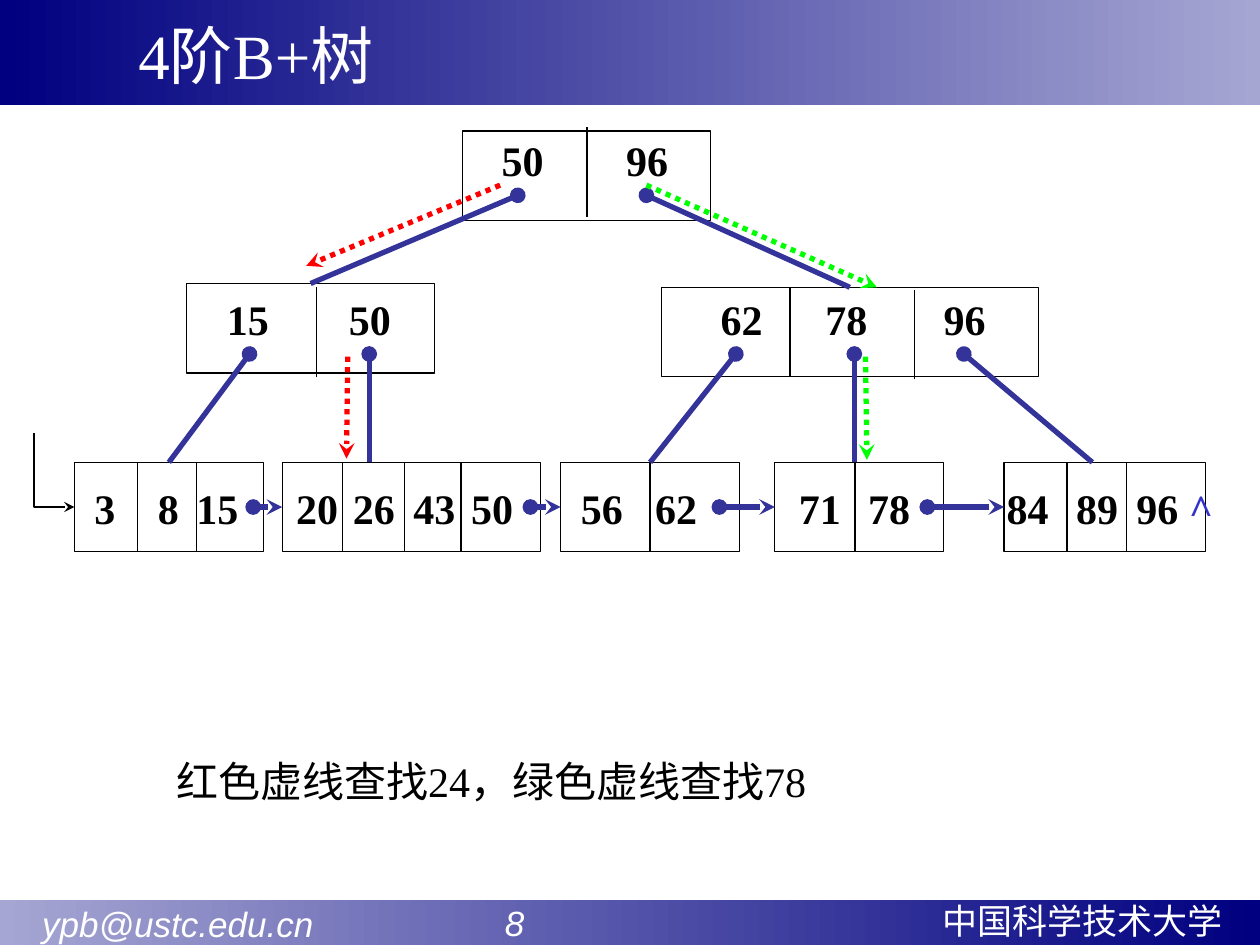
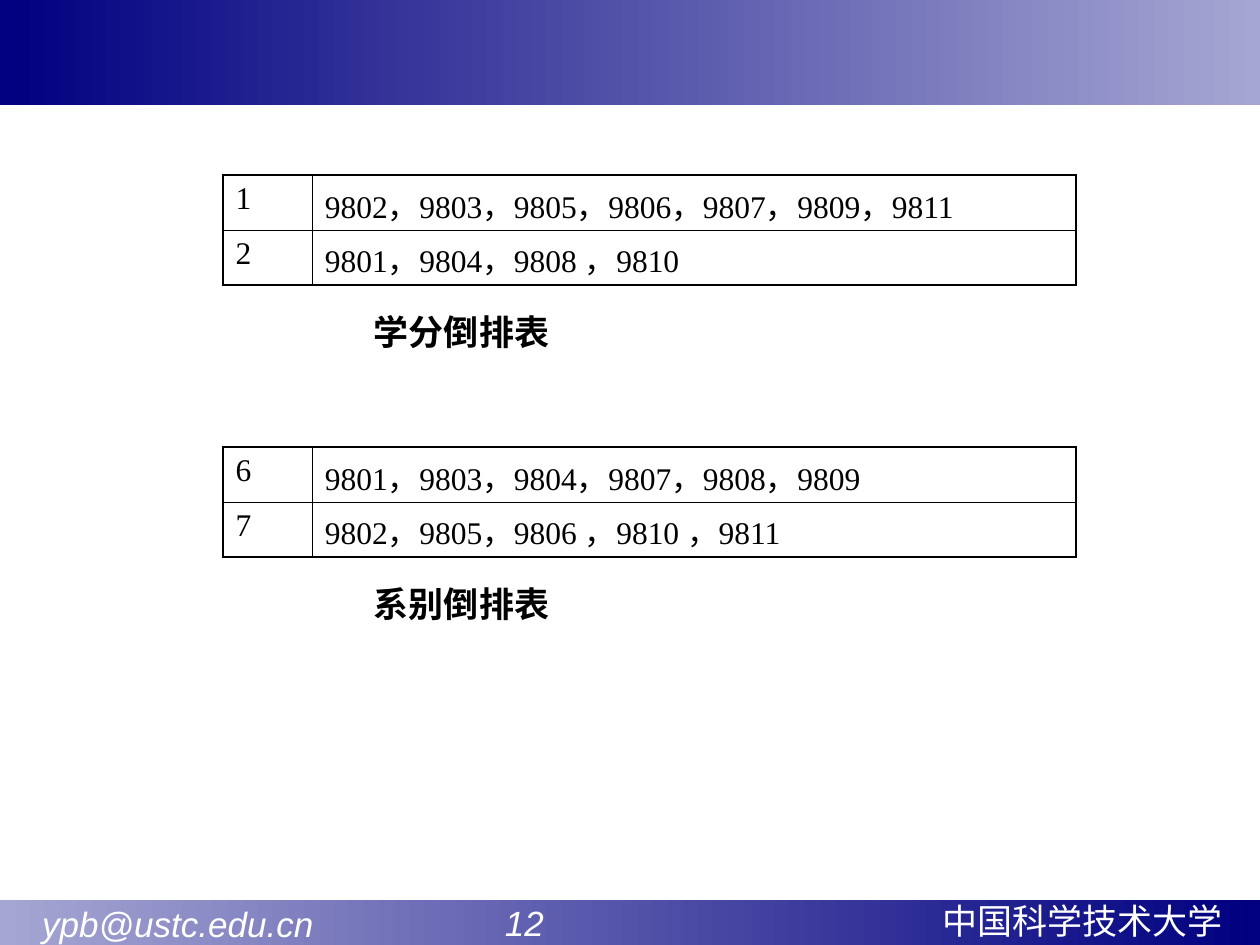
from dataclasses import dataclass
from typing import Any, NamedTuple, Optional

import pptx
import pptx.dml.color
import pptx.enum.dml
import pptx.enum.shapes
import pptx.enum.text
import pptx.oxml.ns
import pptx.util
from lxml import etree

Pt = pptx.util.Pt
RGB = pptx.dml.color.RGBColor.from_string
TOP, LEFT = 0, 1  # connection sites of a rectangle


@dataclass(frozen=True)
class Theme:
    navy: str = "000080"
    lavender: str = "A6A6D3"
    white: str = "FFFFFF"
    ink: str = "000000"
    pointer: str = "333399"
    null_mark: str = "3333CC"
    red: str = "FF0000"
    green: str = "00FF00"
    serif: str = "Times New Roman"
    sans: str = "Arial"
    title_size: float = 36
    key_size: float = 24
    caption_size: float = 20
    cell_size: float = 18
    thin: float = 0.75
    thick: float = 3
    frame_border: float = 1.08
    inner_border: float = 0.45


THEME = Theme()


class Point(NamedTuple):
    x: float
    y: float


class Box(NamedTuple):
    left: float
    top: float
    width: float
    height: float


class Divider(NamedTuple):
    x: float
    drop: float = 0


class Key(NamedTuple):
    label: str
    x: float
    suffix: str = ""


@dataclass(frozen=True)
class Node:
    box: Box
    key_drop: float
    dividers: tuple[Divider, ...]
    keys: tuple[Key, ...]


@dataclass(frozen=True)
class Pointer:
    start: Point
    end: Point
    child: str = ""  # node whose top middle receives the pointer


class SearchStep(NamedTuple):
    start: Point
    end: Point
    color: str


class InvertedList(NamedTuple):
    top: float
    caption: str
    rows: tuple[tuple[str, str], ...]


# ---------- Content of the tree ----------
NODE_HEIGHT = 51.1
LEAF_TOP = 264.2
LINK_Y = LEAF_TOP + NODE_HEIGHT / 2


def leaf(left: float, width: float, dividers: tuple[float, ...], *keys: Key) -> Node:
    return Node(Box(left, LEAF_TOP, width, NODE_HEIGHT), 11.6,
                tuple(Divider(x) for x in dividers), keys)


NODES = {
    "root": Node(Box(264.2, 74.9, 141.8, NODE_HEIGHT), 2.1, (Divider(335.5, -2.2),),
                 (Key("50", 286.6), Key("96", 357.8))),
    "low": Node(Box(106.6, 162, 141.8, NODE_HEIGHT), 5.8, (Divider(180.7, 2.2),),
                (Key("15", 129.6), Key("50", 199.4))),
    "high": Node(Box(378, 164.2, 215.3, NODE_HEIGHT), 3.6,
                 (Divider(451.4), Divider(522.7, 1.4)),
                 (Key("62", 411.8), Key("78", 471.6), Key("96", 539.3))),
    "to 15": leaf(42.5, 108, (78.5, 112.3), Key("3", 54), Key("8", 90.2), Key("15", 112.3)),
    "to 50": leaf(161.3, 147.6, (195.8, 231.1, 263.5), Key("20", 169.2), Key("26", 201.6),
                  Key("43", 236.2), Key("50", 269.3)),
    "to 62": leaf(320.4, 102.2, (371.5,), Key("56", 331.9), Key("62", 374.4)),
    "to 78": leaf(442.8, 96.5, (488.5,), Key("71", 456.5), Key("78", 496.1)),
    "to 96": leaf(573.8, 115.2, (609.8, 643.7), Key("84", 575.3), Key("89", 614.9),
                  Key("96", 649.4, " ^")),
}

POINTERS = (
    Pointer(Point(295.9, 111.6), Point(180, 162), "low"),
    Pointer(Point(369.4, 111.6), Point(491, 164.2), "high"),
    Pointer(Point(142.6, 202.3), Point(96.5, LEAF_TOP), "to 15"),
    Pointer(Point(211, 202.3), Point(211, LEAF_TOP)),
    Pointer(Point(420.5, 202.3), Point(371.5, LEAF_TOP), "to 62"),
    Pointer(Point(488.2, 202.3), Point(488.2, LEAF_TOP)),
    Pointer(Point(550.8, 202.3), Point(624.2, LEAF_TOP)),
)

# Start of each leaf link, by the leaf it leads to
LEAF_LINKS = {"to 50": 144.7, "to 62": 303.1, "to 78": 411.1, "to 96": 529.9}

SEARCH_STEPS = (
    SearchStep(Point(285.8, 105.8), Point(175, 151.9), THEME.red),
    SearchStep(Point(198.7, 203.8), Point(198, 262.1), THEME.red),
    SearchStep(Point(369.4, 105.8), Point(501.1, 164.2), THEME.green),
    SearchStep(Point(494.6, 203.8), Point(495.4, 262.8), THEME.green),
)

INVERTED_LISTS = (
    InvertedList(100.1, "学分倒排表", (
        ("1", "9802，9803，9805，9806，9807，9809，9811"),
        ("2", "9801，9804，9808 ，9810"))),
    InvertedList(255.6, "系别倒排表", (
        ("6", "9801，9803，9804，9807，9808，9809"),
        ("7", "9802，9805，9806 ，9810 ，9811"))),
)


# ---------- Drawing helpers ----------
def write_text(frame: Any, text: str, *, size: float, font: str = THEME.serif,
               color: str = THEME.ink, bold: bool = False, italic: bool = False,
               align: Any = pptx.enum.text.PP_ALIGN.LEFT) -> None:
    """Append a formatted run to the first paragraph of a text frame."""
    paragraph = frame.paragraphs[0]
    paragraph.alignment = align
    run = paragraph.add_run()
    run.text = text
    run.font.size, run.font.name = Pt(size), font
    run.font.bold, run.font.italic = bold, italic
    run.font.color.rgb = RGB(color)


def add_text(slide: Any, box: Box, text: str, *, inset: bool = True,
             anchor: Any = pptx.enum.text.MSO_ANCHOR.TOP, **style: Any) -> Any:
    frame = slide.shapes.add_textbox(*map(Pt, box)).text_frame
    frame.word_wrap = True
    frame.vertical_anchor = anchor
    frame.margin_left = frame.margin_right = Pt(7.2 if inset else 0)
    frame.margin_top = frame.margin_bottom = Pt(3.6 if inset else 0)
    write_text(frame, text, **style)
    return frame


def style_line(line: Any, color: str, width: float, head: str = "", tail: str = "",
               dotted: bool = False) -> None:
    line.color.rgb = RGB(color)
    line.width = Pt(width)
    if dotted:
        line.dash_style = pptx.enum.dml.MSO_LINE.ROUND_DOT
    for tag, kind in (("a:headEnd", head), ("a:tailEnd", tail)):
        if kind:
            etree.SubElement(line.fill._xPr, pptx.oxml.ns.qn(tag), type=kind)


def add_line(slide: Any, start: Point, end: Point, color: str = THEME.ink,
             width: float = THEME.thin, **ends: Any) -> Any:
    connector = slide.shapes.add_connector(
        pptx.enum.shapes.MSO_CONNECTOR.STRAIGHT, *map(Pt, (*start, *end)))
    style_line(connector.line, color, width, **ends)
    etree.SubElement(connector._element.spPr, pptx.oxml.ns.qn("a:effectLst"))
    return connector


def add_rectangle(slide: Any, box: Box) -> Any:
    rectangle = slide.shapes.add_shape(
        pptx.enum.shapes.MSO_SHAPE.RECTANGLE, *map(Pt, box))
    rectangle.shadow.inherit = False
    return rectangle


def add_band(slide: Any, box: Box, colors: tuple[str, str]) -> None:
    band = add_rectangle(slide, box)
    band.line.fill.background()
    band.fill.gradient()
    band.fill.gradient_angle = 0
    for stop, color in zip(band.fill.gradient_stops, colors):
        stop.color.rgb = RGB(color)


# ---------- Shared slide frame ----------
def add_framed_slide(deck: Any, number: int, title: Optional[str] = None) -> Any:
    slide = deck.slides.add_slide(deck.slide_layouts[6])
    add_band(slide, Box(0, 514, 720, 26), (THEME.lavender, THEME.navy))
    add_band(slide, Box(0, 0, 720, 60.2), (THEME.navy, THEME.lavender))
    footer = dict(size=THEME.caption_size, font=THEME.sans, color=THEME.white)
    add_text(slide, Box(531.4, 510.6, 185, 31), "中国科学技术大学", **footer)
    add_text(slide, Box(281.5, 511.4, 105.8, 31.4), str(number), italic=True, **footer)
    add_text(slide, Box(17, 512, 175, 31.4), "ypb@ustc.edu.cn", italic=True, **footer)
    if title:
        add_text(slide, Box(72, 5.8, 588, 50.4), title, size=THEME.title_size,
                 color=THEME.white, anchor=pptx.enum.text.MSO_ANCHOR.BOTTOM)
    return slide


# ---------- B+ tree slide ----------
def add_node(slide: Any, node: Node) -> Any:
    outline = add_rectangle(slide, node.box)
    outline.fill.background()
    style_line(outline.line, THEME.ink, THEME.thin)
    for x, drop in node.dividers:
        top = node.box.top + drop
        add_line(slide, Point(x, top), Point(x, top + node.box.height))
    style = dict(size=THEME.key_size, bold=True)
    for label, x, suffix in node.keys:
        width = 46 if suffix else 28
        frame = add_text(slide, Box(x, node.box.top + node.key_drop, width, 28.8),
                         label, inset=False, **style)
        if suffix:
            write_text(frame, suffix, color=THEME.null_mark, **style)
    return outline


def build_tree_slide(deck: Any) -> None:
    slide = add_framed_slide(deck, 8, "4阶B+树")
    outlines = {name: add_node(slide, node) for name, node in NODES.items()}

    # Child pointers and the chain of leaves
    for pointer in POINTERS:
        line = add_line(slide, pointer.start, pointer.end, THEME.pointer, THEME.thick,
                        head="oval")
        if pointer.child:
            line.end_connect(outlines[pointer.child], TOP)
    for target, x in LEAF_LINKS.items():
        link = add_line(slide, Point(x, LINK_Y), Point(NODES[target].box.left, LINK_Y),
                        THEME.pointer, THEME.thick, head="oval", tail="stealth")
        link.end_connect(outlines[target], LEFT)

    # Search paths
    for start, end, color in SEARCH_STEPS:
        add_line(slide, start, end, color, THEME.thick, tail="stealth", dotted=True)

    # Entry into the chain of leaves
    builder = slide.shapes.build_freeform(Pt(19.4), Pt(247.7))
    builder.add_line_segments(
        [(Pt(19.4), Pt(LINK_Y)), (Pt(NODES["to 15"].box.left), Pt(LINK_Y))], close=False)
    entry = builder.convert_to_shape()
    entry.shadow.inherit = False
    entry.fill.background()
    style_line(entry.line, THEME.ink, THEME.thin, tail="stealth")

    add_text(slide, Box(93.6, 428.4, 516.2, 36), "红色虚线查找24，绿色虚线查找78",
             size=THEME.key_size)


# ---------- Inverted list slide ----------
def set_borders(cell: Any, widths: dict[str, float]) -> None:
    properties = cell._tc.get_or_add_tcPr()
    for side, width in widths.items():
        border = etree.SubElement(properties, pptx.oxml.ns.qn(f"a:ln{side}"),
                                  w=str(int(Pt(width))))
        fill = etree.SubElement(border, pptx.oxml.ns.qn("a:solidFill"))
        etree.SubElement(fill, pptx.oxml.ns.qn("a:srgbClr"), val=THEME.ink)


def add_inverted_list(slide: Any, item: InvertedList) -> None:
    widths, row_height = (51.1, 436.3), 31.3
    last_row, last_column = len(item.rows) - 1, len(widths) - 1
    table = slide.shapes.add_table(
        len(item.rows), len(widths),
        *map(Pt, (127.4, item.top, sum(widths), row_height * len(item.rows)))).table
    table.first_row = table.horz_banding = False
    for column, width in zip(table.columns, widths):
        column.width = Pt(width)
    for r, row in enumerate(item.rows):
        table.rows[r].height = Pt(row_height)
        for c, text in enumerate(row):
            cell = table.cell(r, c)
            on_frame = {"L": c == 0, "R": c == last_column, "T": r == 0, "B": r == last_row}
            set_borders(cell, {side: THEME.frame_border if outer else THEME.inner_border
                               for side, outer in on_frame.items()})
            cell.fill.background()
            write_text(cell.text_frame, text, size=THEME.cell_size,
                       align=pptx.enum.text.PP_ALIGN.JUSTIFY)
    add_text(slide, Box(206.6, item.top + 73.8, 266.4, 31.7), item.caption,
             size=THEME.caption_size, bold=True)


def build_inverted_list_slide(deck: Any) -> None:
    slide = add_framed_slide(deck, 12)
    for item in INVERTED_LISTS:
        add_inverted_list(slide, item)


def main() -> None:
    deck = pptx.Presentation()
    deck.slide_width, deck.slide_height = Pt(720), Pt(540)
    build_tree_slide(deck)
    build_inverted_list_slide(deck)
    deck.save("out.pptx")


if __name__ == "__main__":
    main()
